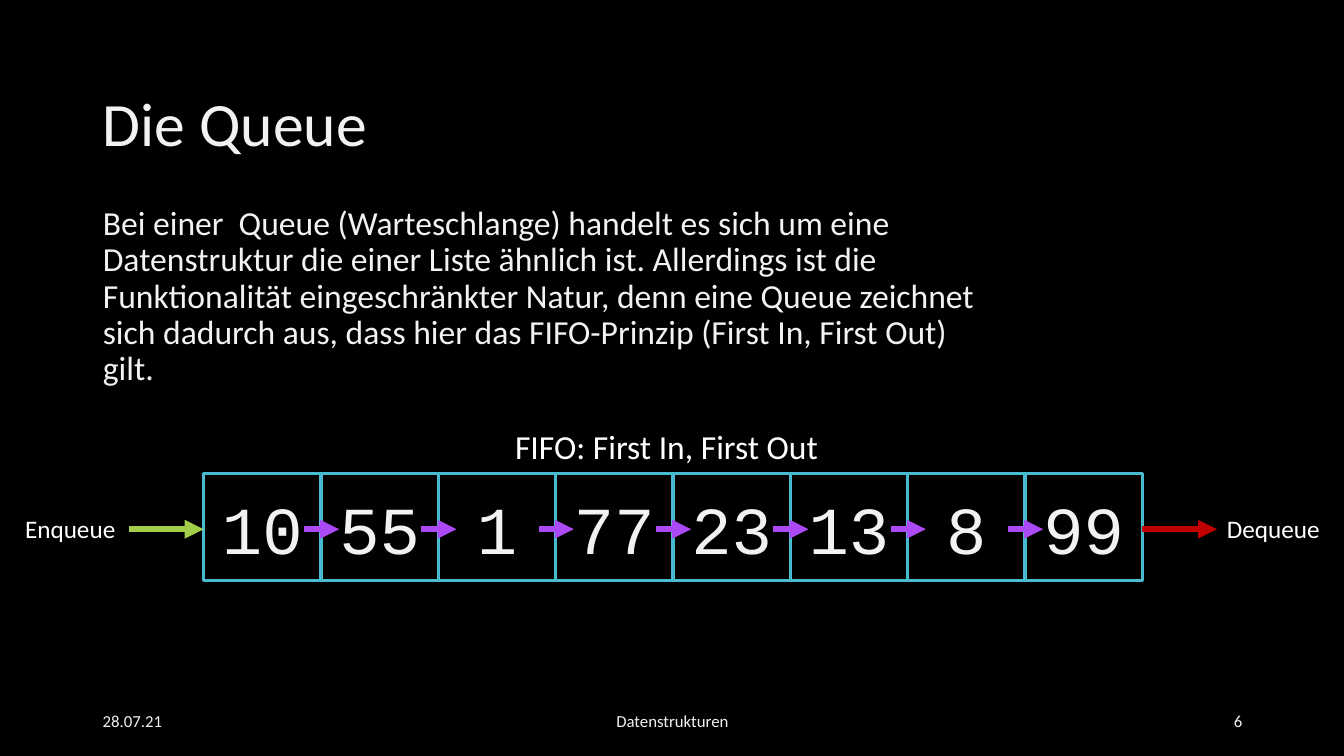
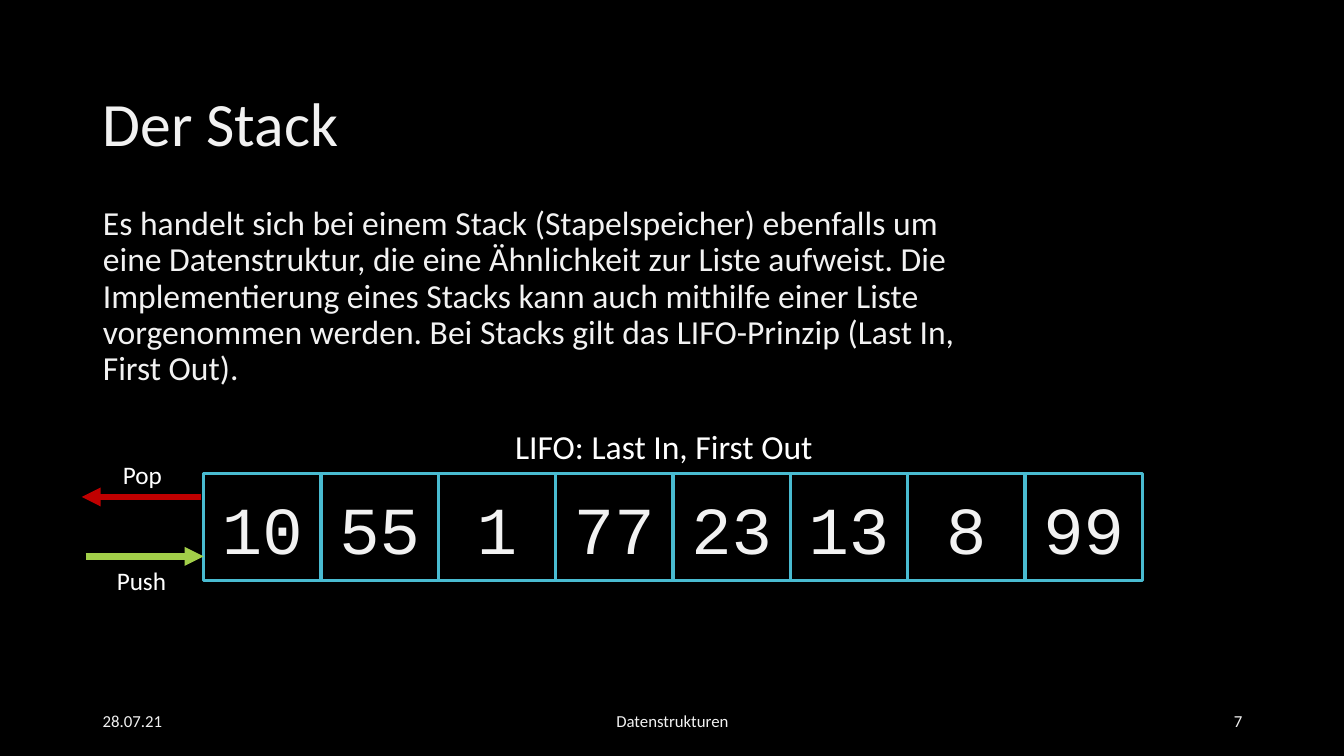
from lxml import etree
from pptx import Presentation
from pptx import util as u
from pptx.dml import color
from pptx.enum import shapes, text
from pptx.oxml import ns

BLACK, WHITE, PALE = "000000", "FFFFFF", "F2F2F2"
CYAN, GREEN, RED, PURPLE = "49BBD1", "A2CF49", "C00000", "AB49F6"
SANS, MONO = "Calibri", "Courier New"
LEFT, CENTER, RIGHT = (text.PP_ALIGN.LEFT, text.PP_ALIGN.CENTER,
                       text.PP_ALIGN.RIGHT)
TOP, MIDDLE, BOTTOM = (text.MSO_ANCHOR.TOP, text.MSO_ANCHOR.MIDDLE,
                       text.MSO_ANCHOR.BOTTOM)

VALUES = ["10", "55", "1", "77", "23", "13", "8", "99"]
ROW_LEFT, ROW_RIGHT, ROW_TOP, CELL_HEIGHT = 2.02, 11.33, 4.7, 1.06
CELL_WIDTH = (ROW_RIGHT - ROW_LEFT) / len(VALUES)
ARROW_Y = 5.25


def rgb(value):
    return color.RGBColor.from_string(value)


class Lesson:
    """Holds the deck, its style and the slide being filled."""

    def __init__(self):
        self.deck = Presentation()
        self.deck.slide_width = u.Inches(13.33)
        self.deck.slide_height = u.Inches(7.5)
        fill = self.deck.slide_master.background.fill
        fill.solid()
        fill.fore_color.rgb = rgb(BLACK)
        self.page = None

    def set_text(self, box, words, size, shade=WHITE, font=SANS, align=LEFT,
                 anchor=TOP, wrap=True):
        frame = box.text_frame
        frame.auto_size = text.MSO_AUTO_SIZE.NONE
        frame.word_wrap = wrap
        frame.vertical_anchor = anchor
        para = frame.paragraphs[0]
        para.alignment = align
        span = para.add_run()
        span.text = words
        span.font.size = u.Pt(size)
        span.font.name = font
        span.font.color.rgb = rgb(shade)
        return para

    def place(self, box, left, top, width, height):
        box.left, box.top = u.Inches(left), u.Inches(top)
        box.width, box.height = u.Inches(width), u.Inches(height)

    def start(self, title, body, number):
        """Adds a page with title, unbulleted body and footer."""
        self.page = self.deck.slides.add_slide(self.deck.slide_layouts[1])
        heading, content = self.page.placeholders
        self.place(heading, 0.92, 0.4, 8.7, 1.24)
        para = self.set_text(heading, title, 44, PALE, anchor=BOTTOM)
        para.line_spacing = 0.9

        self.place(content, 0.92, 2, 9.1, 2.05)
        para = self.set_text(content, body, 24, PALE)
        para.line_spacing = 0.9
        para.space_before = u.Pt(10)
        props = para._p.get_or_add_pPr()
        props.set("marL", "0")
        props.set("indent", "0")
        etree.SubElement(props, ns.qn("a:buNone"))

        for words, left, width, align in [
                ("28.07.21", 0.92, 3, LEFT),
                ("Datenstrukturen", 4.42, 4.5, CENTER),
                (number, 9.42, 3, RIGHT)]:
            self.label(words, left, 6.95, width, 0.4, size=12, shade=PALE,
                       align=align, anchor=MIDDLE)

    def label(self, words, left, top, width, height=0.4, size=18, **style):
        box = self.page.shapes.add_textbox(0, 0, 0, 0)
        self.place(box, left, top, width, height)
        self.set_text(box, words, size, **style)

    def cell(self, value, left):
        box = self.page.shapes.add_shape(
            shapes.MSO_SHAPE.RECTANGLE, u.Inches(left), u.Inches(ROW_TOP),
            u.Inches(CELL_WIDTH), u.Inches(CELL_HEIGHT))
        box.shadow.inherit = False
        box.fill.background()
        box.line.color.rgb = rgb(CYAN)
        box.line.width = u.Pt(2.25)
        self.set_text(box, value, 48, PALE, MONO, CENTER, MIDDLE)

    def cells(self, caption):
        for index, value in enumerate(VALUES):
            self.cell(value, ROW_LEFT + index * CELL_WIDTH)
        self.label(caption, 5.01, 4.18, 4.32, 0.5, size=24)

    def arrow(self, start, end, y, shade):
        """Draws a level arrow with its head at end."""
        line = self.page.shapes.add_connector(
            shapes.MSO_CONNECTOR.STRAIGHT, u.Inches(start), u.Inches(y),
            u.Inches(end), u.Inches(y))
        line.line.color.rgb = rgb(shade)
        line.line.width = u.Pt(4.5)
        etree.SubElement(line.line._get_or_add_ln(), ns.qn("a:tailEnd"),
                         type="triangle")
        etree.SubElement(line._element.spPr, ns.qn("a:effectLst"))


def queue_page(lesson):
    lesson.start(
        "Die Queue",
        "Bei einer  Queue (Warteschlange) handelt es sich um "
        "eine Datenstruktur die einer Liste ähnlich ist. Allerdings ist die "
        "Funktionalität eingeschränkter Natur, denn eine Queue zeichnet sich "
        "dadurch aus, dass hier das FIFO-Prinzip (First In, First Out) gilt.",
        "6")
    lesson.cells("FIFO: First In, First Out")
    lesson.arrow(1.28, ROW_LEFT, ARROW_Y, GREEN)
    lesson.label("Enqueue", 0.15, 5.04, 1.12, wrap=False)
    lesson.arrow(ROW_RIGHT, 12.07, ARROW_Y, RED)
    lesson.label("Dequeue", 12.07, 5.04, 1.15, wrap=False)
    for index in range(1, len(VALUES)):
        edge = ROW_LEFT + index * CELL_WIDTH
        lesson.arrow(edge - 0.17, edge + 0.18, ARROW_Y, PURPLE)


def stack_page(lesson):
    lesson.start(
        "Der Stack",
        "Es handelt sich bei einem Stack (Stapelspeicher) ebenfalls um eine "
        "Datenstruktur, die eine Ähnlichkeit zur Liste aufweist. Die "
        "Implementierung eines Stacks kann auch mithilfe "
        "einer Liste vorgenommen werden. Bei Stacks gilt das "
        "LIFO-Prinzip (Last In, First Out).",
        "7")
    lesson.cells("LIFO: Last In, First Out")
    lesson.arrow(0.85, ROW_LEFT, 5.52, GREEN)
    lesson.label("Push", 1.06, 5.56, 0.71, wrap=False)
    lesson.label("Pop", 1.12, 4.51, 0.6, wrap=False)
    lesson.arrow(1.99, 0.81, 4.93, RED)


def main():
    lesson = Lesson()
    queue_page(lesson)
    stack_page(lesson)
    lesson.deck.save("out.pptx")


if __name__ == "__main__":
    main()
